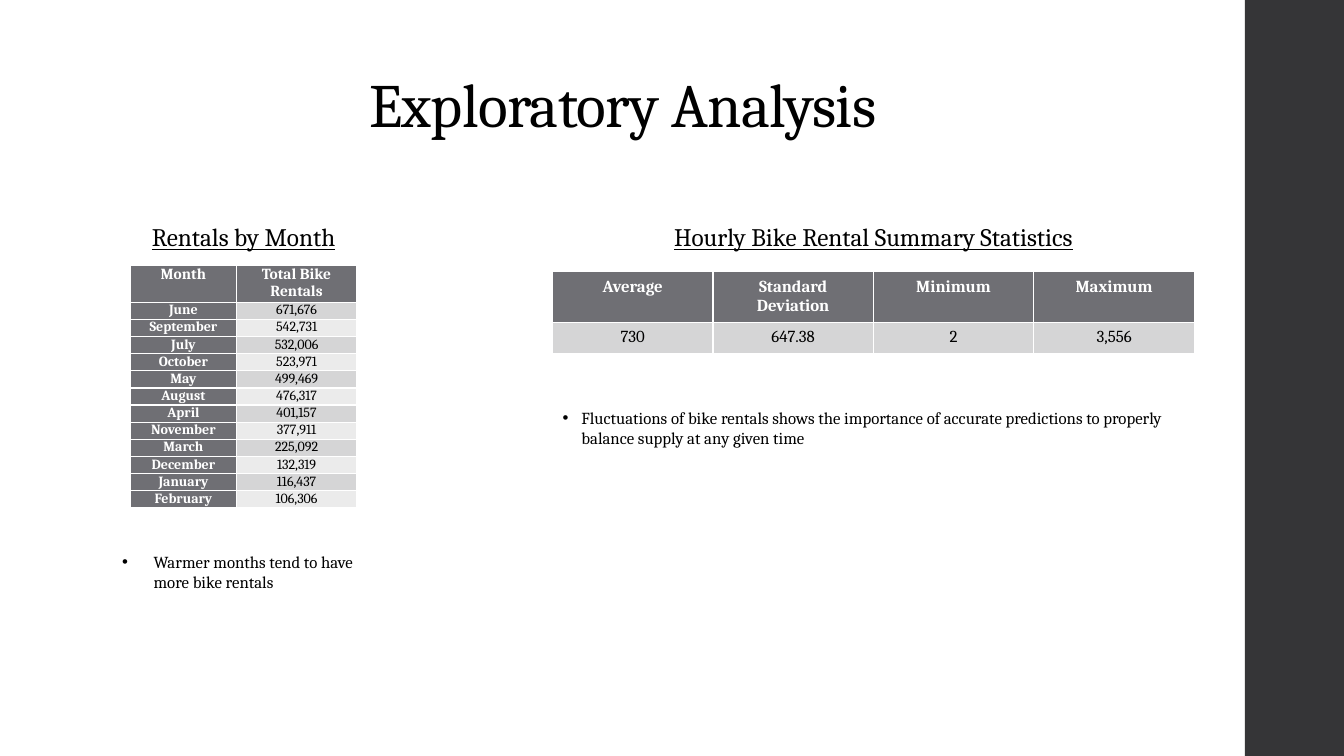
"""Builds the exploratory analysis slide of the bike rental study."""
from dataclasses import dataclass

from pptx import Presentation
from pptx.dml.color import RGBColor as RGB
from pptx.enum.shapes import MSO_SHAPE
from pptx.enum.text import MSO_ANCHOR as ANCHOR, MSO_AUTO_SIZE as AUTOSIZE, PP_ALIGN as ALIGN
from pptx.util import Pt


@dataclass(frozen=True)
class Theme:
    font: str = "Cambria"
    text: RGB = RGB(0x00, 0x00, 0x00)
    light: RGB = RGB(0xFF, 0xFF, 0xFF)
    sidebar: RGB = RGB(0x35, 0x35, 0x37)
    header: RGB = RGB(0x6F, 0x6F, 0x74)
    bands: tuple = (RGB(0xD5, 0xD5, 0xD6), RGB(0xEB, 0xEB, 0xEB))
    title: int = 44
    heading: int = 18
    body: int = 12
    month_header: int = 11
    month_body: int = 10


T = Theme()


def write(tf, text, size, color=T.text, bold=False, align=ALIGN.CENTER):
    """Fill a text frame with one formatted paragraph and return it."""
    tf.text = text
    tf.word_wrap = True
    p = tf.paragraphs[0]
    p.alignment = align
    p.space_before = Pt(0)
    font = p.runs[0].font
    font.name, font.size, font.bold = T.font, Pt(size), bold
    font.color.rgb = color
    return p


def add_table(slide, rows, left, top, widths, heights, sizes, label_column=False):
    """Add a table whose header row, and optionally first column, is dark."""
    frame = slide.shapes.add_table(len(rows), len(widths), Pt(left), Pt(top),
                                   Pt(sum(widths)), Pt(sum(heights)))
    table = frame.table
    table.first_col = label_column
    for column, width in zip(table.columns, widths):
        column.width = Pt(width)
    for i, (row, height) in enumerate(zip(rows, heights)):
        table.rows[i].height = Pt(height)
        for j, value in enumerate(row):
            cell = table.cell(i, j)
            dark = i == 0 or (label_column and j == 0)
            cell.fill.solid()
            cell.fill.fore_color.rgb = T.header if dark else T.bands[(i - 1) % 2]
            write(cell.text_frame, value, sizes[min(i, 1)], T.light if dark else T.text, dark)
    return table


prs = Presentation()
prs.slide_width, prs.slide_height = Pt(960), Pt(540)
slide = prs.slides.add_slide(prs.slide_layouts[3])

sidebar = slide.shapes.add_shape(MSO_SHAPE.RECTANGLE, Pt(889.2), Pt(0), Pt(70.8), Pt(540))
sidebar.shadow.inherit = False
sidebar.fill.solid()
sidebar.fill.fore_color.rgb = T.sidebar
sidebar.line.fill.background()

title = slide.shapes.title
title.left, title.top, title.width, title.height = Pt(0), Pt(0), Pt(890), Pt(104.4)
title.text_frame.vertical_anchor = ANCHOR.BOTTOM
title.text_frame.auto_size = AUTOSIZE.NONE
p = write(title.text_frame, "Exploratory Analysis", T.title)
p.line_spacing = 0.9
p.runs[0].font._element.set("spc", "-50")

LEFT, LEFT_WIDTH = 80, 188
RIGHT, RIGHT_WIDTH = 394.6, 458.6

for text, left, width in [("Rentals by Month", LEFT, LEFT_WIDTH),
                          ("Hourly Bike Rental Summary Statistics", RIGHT, RIGHT_WIDTH)]:
    heading = slide.shapes.add_textbox(Pt(left), Pt(154.8), Pt(width), Pt(29))
    write(heading.text_frame, text, T.heading).runs[0].font.underline = True

rentals = [("Month", "Total Bike Rentals"), ("June", "671,676"), ("September", "542,731"),
           ("July", "532,006"), ("October", "523,971"), ("May", "499,469"),
           ("August", "476,317"), ("April", "401,157"), ("November", "377,911"),
           ("March", "225,092"), ("December", "132,319"), ("January", "116,437"),
           ("February", "106,306")]
months = add_table(slide, rentals, 93, 189.4, [76, 85.7], [25.7] + [12.26] * 12,
                   (T.month_header, T.month_body), label_column=True)
for cell in months.iter_cells():
    cell.margin_left = cell.margin_right = Pt(5)
    cell.margin_top = cell.margin_bottom = Pt(0)

statistics = [("Average", "Standard Deviation", "Minimum", "Maximum"),
              ("730", "647.38", "2", "3,556")]
add_table(slide, statistics, RIGHT, 194.2, [RIGHT_WIDTH / 4] * 4, [35.5, 22.5],
          (T.body, T.body))

findings = [
    (1, "Warmer months tend to have more bike rentals", LEFT, 390.2, LEFT_WIDTH, 22.5),
    (2, "Fluctuations of bike rentals shows the importance of accurate predictions to properly "
        "balance supply at any given time", RIGHT, 287.6, RIGHT_WIDTH, 13.5)]
for index, text, left, top, width, indent in findings:
    finding = slide.placeholders[index]
    finding.left, finding.top = Pt(left), Pt(top)
    finding.width, finding.height = Pt(width), Pt(36.4)
    finding.text_frame.auto_size = AUTOSIZE.NONE
    p = write(finding.text_frame, text, T.body, align=ALIGN.LEFT)
    pPr = p._p.get_or_add_pPr()
    pPr.set("marL", str(Pt(indent)))
    pPr.set("indent", str(-Pt(indent)))

prs.save("out.pptx")
